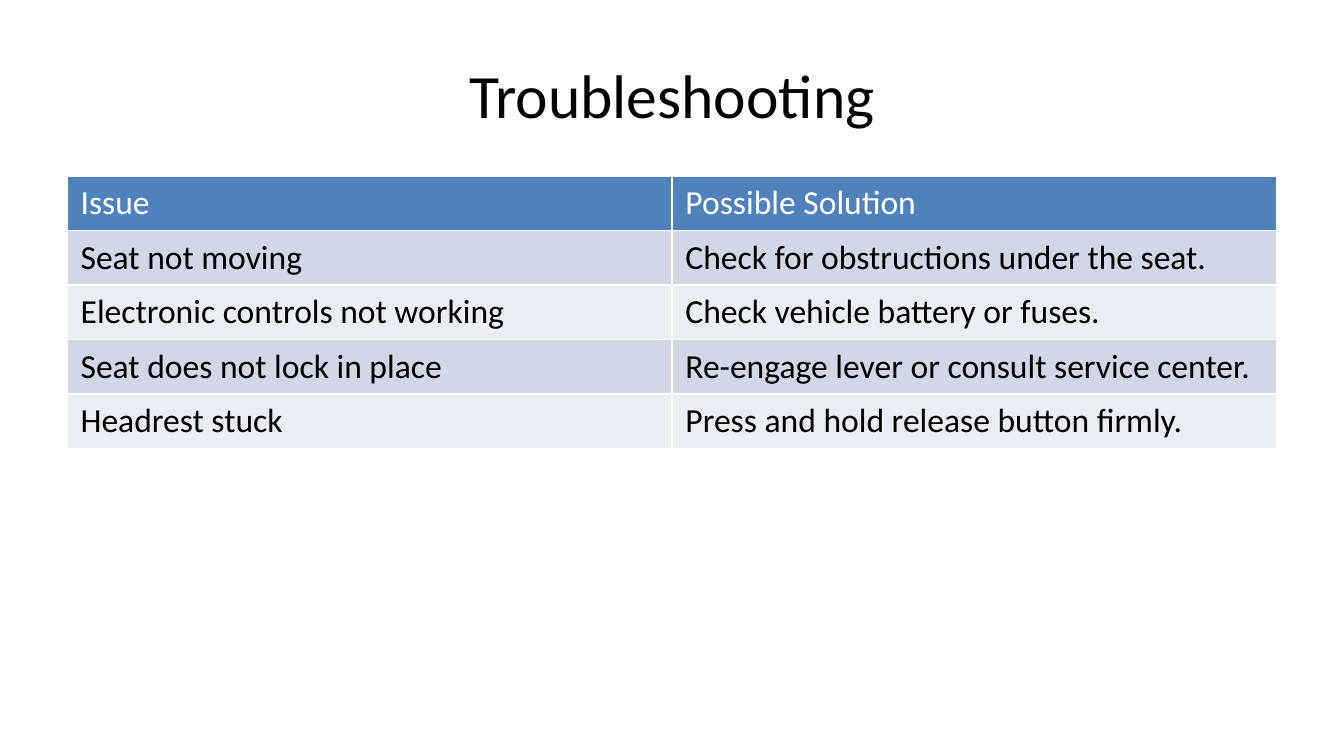
from dataclasses import dataclass

from pptx import Presentation
from pptx.dml.color import RGBColor
from pptx.enum.text import MSO_ANCHOR, MSO_AUTO_SIZE, PP_ALIGN
from pptx.util import Inches, Pt


@dataclass(frozen=True)
class Theme:
    """Colours, font and type sizes of the slide."""

    font: str = "Calibri"
    title_size: int = 33
    table_size: int = 18
    ink: str = "000000"
    paper: str = "FFFFFF"
    header: str = "4F81BD"
    bands: tuple = ("D0D8E8", "E9EDF4")


THEME = Theme()
ROW_HEIGHT = 0.4
REMEDIES = [
    ("Issue", "Possible Solution"),
    ("Seat not moving", "Check for obstructions under the seat."),
    ("Electronic controls not working", "Check vehicle battery or fuses."),
    ("Seat does not lock in place", "Re-engage lever or consult service center."),
    ("Headrest stuck", "Press and hold release button firmly."),
]


def write(frame, text, *, size, color, align=PP_ALIGN.LEFT):
    """Put formatted text into a text frame."""
    paragraph = frame.paragraphs[0]
    paragraph.alignment = align
    run = paragraph.add_run()
    run.text = text
    run.font.name = THEME.font
    run.font.size = Pt(size)
    run.font.bold = False
    run.font.color.rgb = RGBColor.from_string(color)


def place_heading(slide, text, left, top, width, height):
    """Move the title placeholder into its box and fill it."""
    heading = slide.shapes.title
    heading.left, heading.top = Inches(left), Inches(top)
    heading.width, heading.height = Inches(width), Inches(height)
    frame = heading.text_frame
    frame.word_wrap = True
    frame.auto_size = MSO_AUTO_SIZE.NONE
    frame.vertical_anchor = MSO_ANCHOR.MIDDLE
    write(frame, text, size=THEME.title_size, color=THEME.ink, align=PP_ALIGN.CENTER)


def place_remedies(slide, remedies, left, top, width):
    """Add the table of issues and solutions with a header and banded rows."""
    columns = len(remedies[0])
    table = slide.shapes.add_table(
        len(remedies), columns, Inches(left), Inches(top),
        Inches(width), Inches(ROW_HEIGHT * len(remedies)),
    ).table
    for column in table.columns:
        column.width = Inches(width / columns)
    for index, entries in enumerate(remedies):
        is_header = index == 0
        fill = THEME.header if is_header else THEME.bands[(index - 1) % 2]
        color = THEME.paper if is_header else THEME.ink
        for cell, text in zip(table.rows[index].cells, entries):
            cell.fill.solid()
            cell.fill.fore_color.rgb = RGBColor.from_string(fill)
            write(cell.text_frame, text, size=THEME.table_size, color=color)


def main():
    """Build and save the troubleshooting slide."""
    deck = Presentation()
    deck.slide_width = Inches(10)
    deck.slide_height = deck.slide_width * 9 // 16
    slide = deck.slides.add_slide(deck.slide_layouts.get_by_name("Title Only"))
    slide.background.fill.solid()
    slide.background.fill.fore_color.rgb = RGBColor.from_string(THEME.paper)
    place_heading(slide, "Troubleshooting", 0.5, 0.23, 9, 0.94)
    place_remedies(slide, REMEDIES, 0.5, 1.31, 9)
    deck.save("out.pptx")


if __name__ == "__main__":
    main()
